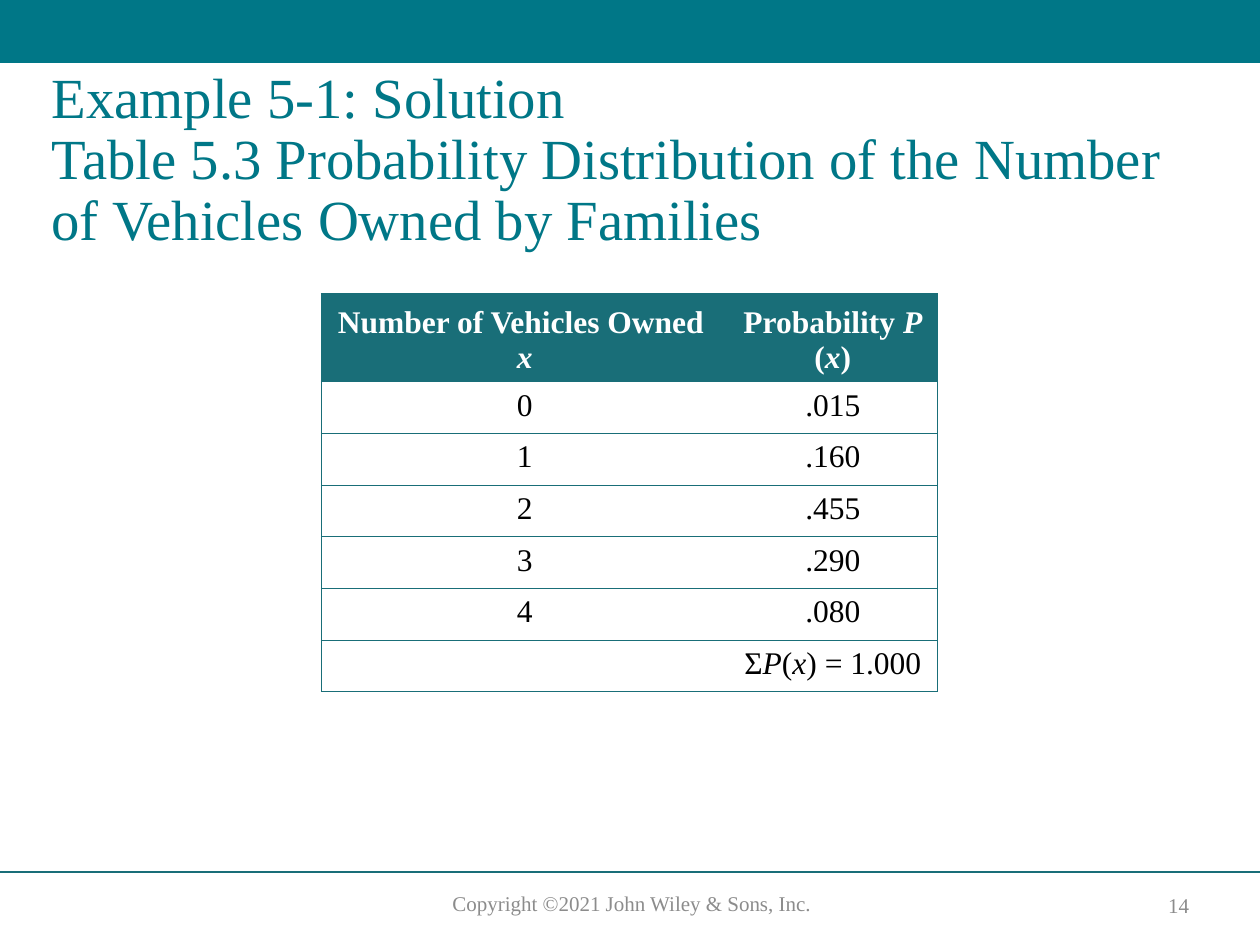
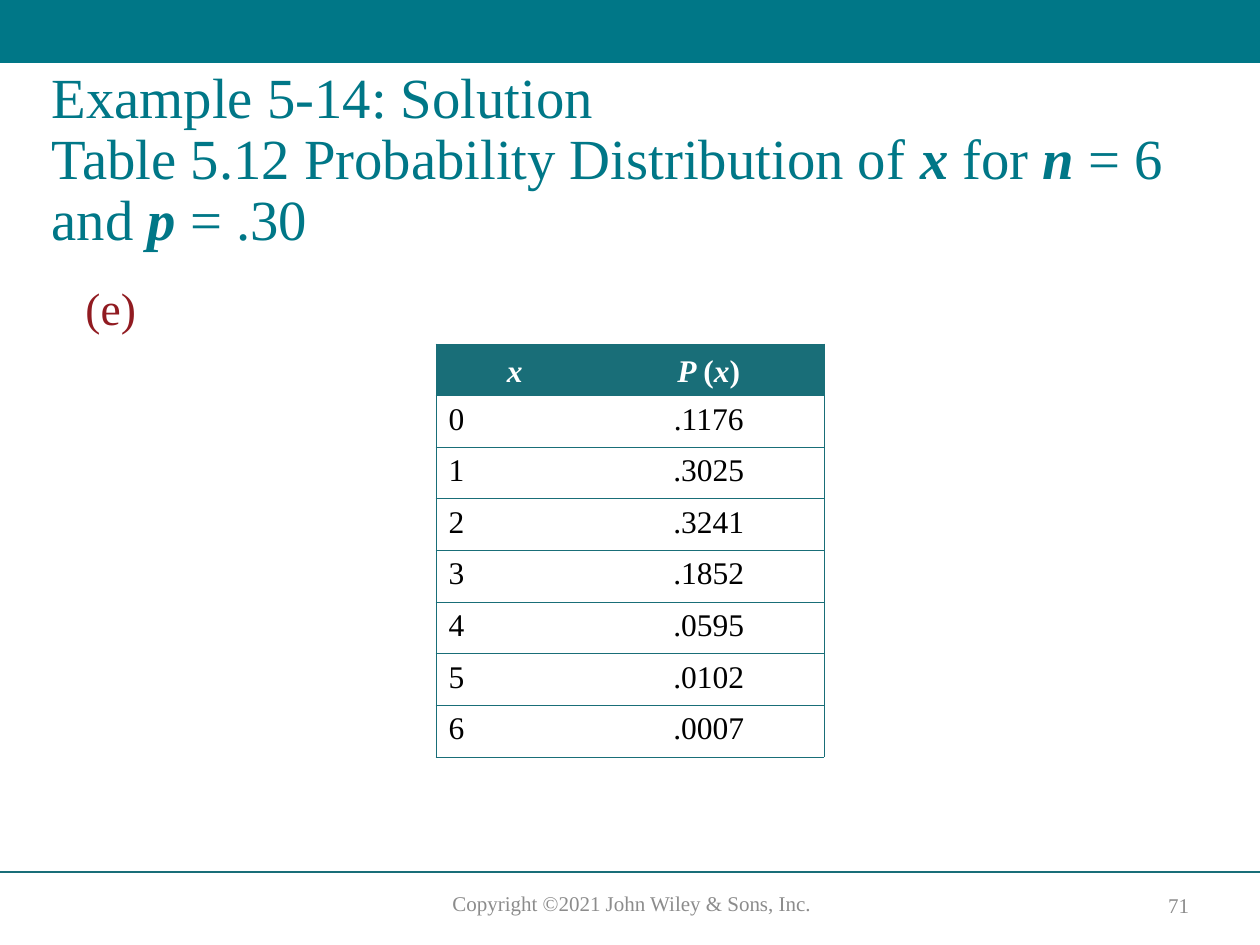
from dataclasses import dataclass

import pptx
import pptx.util
import pptx.dml.color
import pptx.enum.shapes
import pptx.enum.text
import pptx.oxml
import pptx.oxml.ns
import pptx.oxml.xmlchemy

Inches = pptx.util.Inches
Pt = pptx.util.Pt
Align = pptx.enum.text.PP_ALIGN
Anchor = pptx.enum.text.MSO_ANCHOR


@dataclass
class Theme:
    font: str = "Times New Roman"
    teal: str = "007787"
    grid: str = "196E78"
    grey: str = "8C8C8C"
    red: str = "911B21"
    black: str = "000000"
    white: str = "FFFFFF"
    title: float = 32.4
    label: float = 26
    cell: float = 18
    foot: float = 12


theme = Theme()


def rgb(code):
    return pptx.dml.color.RGBColor.from_string(code)


def write(frame, text, size, color, align=Align.LEFT, bold=False, strong=False):
    """Fill a frame; parts between asterisks are italic, and bold if strong."""
    frame.word_wrap = True
    para = frame.paragraphs[0]
    para.alignment = align
    for num, line in enumerate(text.split("\n")):
        if num:
            para.add_line_break()
        for spot, part in enumerate(line.split("*")):
            if not part:
                continue
            run = para.add_run()
            run.text = part
            slant = spot % 2 == 1
            run.font.name = theme.font
            run.font.size = Pt(size)
            run.font.color.rgb = rgb(color)
            run.font.italic = slant
            run.font.bold = bold or (strong and slant)
    return para


pages = [
    {
        "number": "14",
        "title": "Example 5-1: Solution\nTable 5.3 Probability Distribution of "
                 "the Number of Vehicles Owned by Families",
        "height": 1.25,
        "label": None,
        "place": (2.55, 2.33),
        "widths": (3.23, 1.66),
        "head": 0.65,
        "first": Align.CENTER,
        "rows": [
            ("Number of Vehicles Owned \n*x*", "Probability *P* (*x*)"),
            ("0", ".015"),
            ("1", ".160"),
            ("2", ".455"),
            ("3", ".290"),
            ("4", ".080"),
            ("", "Σ*P*(*x*) = 1.000"),
        ],
    },
    {
        "number": "71",
        "title": "Example 5-14: Solution\nTable 5.12 Probability Distribution of "
                 "*x* for *n* = 6 and *p *= .30",
        "height": 1.08,
        "label": "(e)",
        "place": (3.46, 2.73),
        "widths": (1.25, 1.83),
        "head": 0.41,
        "first": Align.LEFT,
        "rows": [
            ("*x*", "*P *(*x*)"),
            ("0", ".1176"),
            ("1", ".3025"),
            ("2", ".3241"),
            ("3", ".1852"),
            ("4", ".0595"),
            ("5", ".0102"),
            ("6", ".0007"),
        ],
    },
]

deck = pptx.Presentation()
deck.slide_width = Inches(10)
deck.slide_height = Inches(7.5)

for page in pages:
    slide = deck.slides.add_slide(deck.slide_layouts[5])
    shapes = slide.shapes

    # Band, rule and footer
    band = shapes.add_shape(pptx.enum.shapes.MSO_SHAPE.RECTANGLE,
                            0, 0, Inches(10), Inches(0.5))
    band.shadow.inherit = False
    band.fill.solid()
    band.fill.fore_color.rgb = rgb(theme.teal)
    band.line.fill.background()

    rule = shapes.add_connector(pptx.enum.shapes.MSO_CONNECTOR.STRAIGHT,
                                0, Inches(6.92), Inches(10), Inches(6.92))
    rule.line.color.rgb = rgb(theme.grid)
    rule.line.width = Pt(1)
    rule._element.spPr.append(pptx.oxml.xmlchemy.OxmlElement("a:effectLst"))

    notice = shapes.add_textbox(Inches(3.22), Inches(7.02), Inches(3.59), Inches(0.3))
    write(notice.text_frame, "Copyright ©2021 John Wiley & Sons, Inc.",
          theme.foot, theme.grey, Align.CENTER)
    number = shapes.add_textbox(Inches(9.05), Inches(7.04), Inches(0.61), Inches(0.28))
    number.text_frame.vertical_anchor = Anchor.MIDDLE
    write(number.text_frame, page["number"], theme.foot, theme.grey, Align.CENTER)

    # Title and part label
    title = shapes.title
    title.left, title.top = Inches(0.31), Inches(0.5)
    title.width, title.height = Inches(9.33), Inches(page["height"])
    title.text_frame.auto_size = pptx.enum.text.MSO_AUTO_SIZE.NONE
    title.text_frame.vertical_anchor = Anchor.TOP
    para = write(title.text_frame, page["title"], theme.title, theme.teal, strong=True)
    para.line_spacing = 0.9

    if page["label"]:
        label = shapes.add_textbox(Inches(0.58), Inches(2.17), Inches(0.75), Inches(0.7))
        write(label.text_frame, page["label"], theme.label, theme.red)

    # Probability table
    rows, widths = page["rows"], page["widths"]
    left, top = page["place"]
    tall = page["head"] + 0.41 * (len(rows) - 1)
    frame = shapes.add_table(len(rows), len(widths), Inches(left), Inches(top),
                             Inches(sum(widths)), Inches(tall))
    table = frame.table
    table.horz_banding = False
    style = table._tbl.tblPr.find(pptx.oxml.ns.qn("a:tableStyleId"))
    style.text = "{2D5ABB26-0587-4C30-8999-92F81FD0307C}"  # no style, no grid
    for col, width in zip(table.columns, widths):
        col.width = Inches(width)

    for r, row in enumerate(rows):
        head = r == 0
        table.rows[r].height = Inches(page["head"] if head else 0.41)
        for c, text in enumerate(row):
            cell = table.cell(r, c)
            for side in ("lnL" if c == 0 else "lnR", "lnT", "lnB"):
                edge = pptx.oxml.parse_xml(
                    f'<a:{side} {pptx.oxml.ns.nsdecls("a")} w="{Pt(0.5)}"><a:solidFill>'
                    f'<a:srgbClr val="{theme.grid}"/></a:solidFill></a:{side}>')
                cell._tc.get_or_add_tcPr().append(edge)
            cell.fill.solid()
            cell.fill.fore_color.rgb = rgb(theme.grid if head else theme.white)
            cell.vertical_anchor = Anchor.BOTTOM if head else Anchor.TOP
            align = Align.CENTER if head or c else page["first"]
            para = write(cell.text_frame, text, theme.cell,
                         theme.white if head else theme.black, align, bold=head)
            if not head:
                para.space_after = Pt(3)

deck.save("out.pptx")
